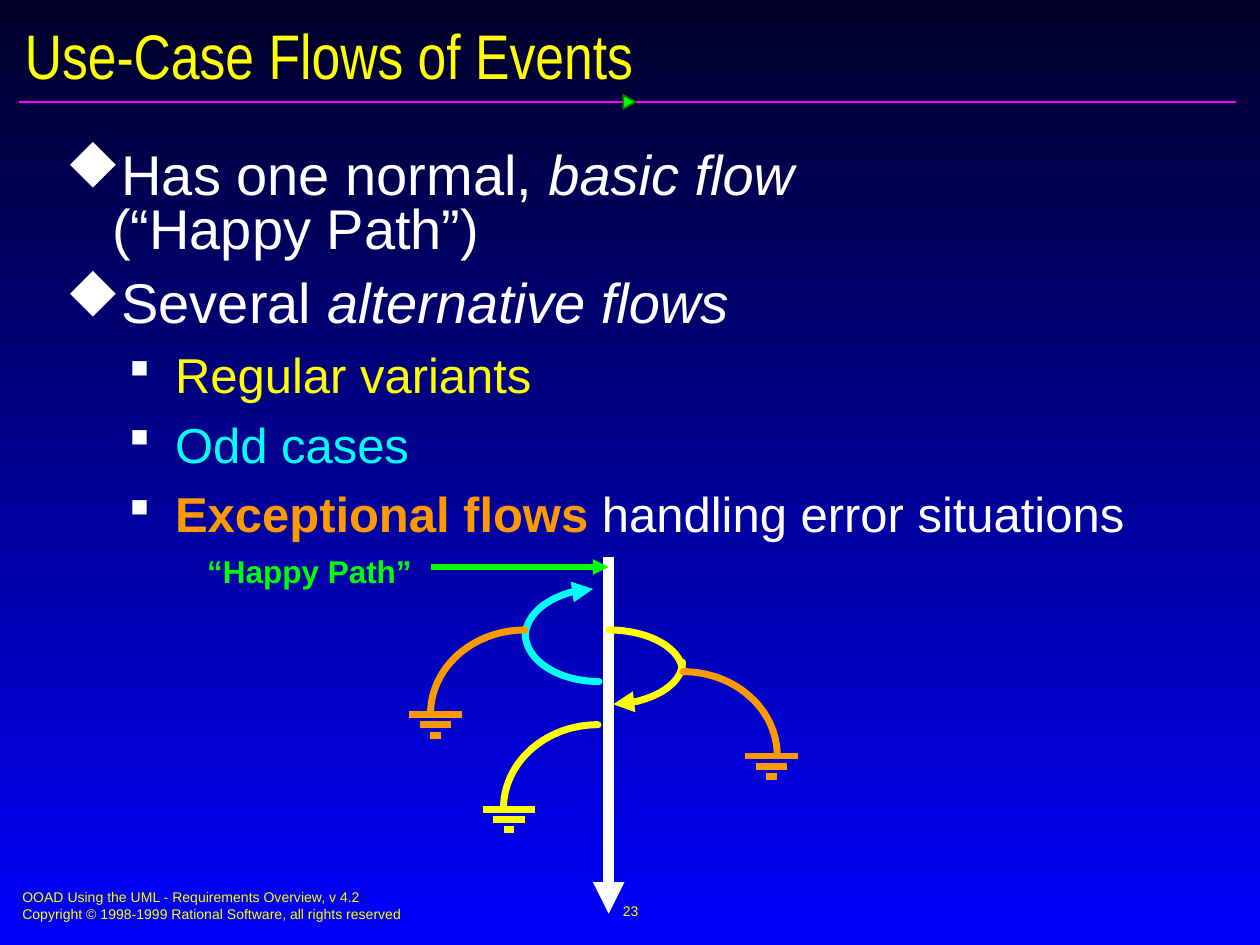
from lxml import etree
from pptx import Presentation
from pptx.dml.color import RGBColor
from pptx.enum.shapes import MSO_CONNECTOR, MSO_SHAPE
from pptx.enum.text import MSO_ANCHOR, MSO_AUTO_SIZE, PP_ALIGN
from pptx.oxml.ns import qn
from pptx.util import Cm, Pt

STRAIGHT = MSO_CONNECTOR.STRAIGHT
ARC, TRIANGLE = MSO_SHAPE.ARC, MSO_SHAPE.ISOSCELES_TRIANGLE
LEFT, CENTER = PP_ALIGN.LEFT, PP_ALIGN.CENTER
TOP, MIDDLE = MSO_ANCHOR.TOP, MSO_ANCHOR.MIDDLE
NO_FIT = MSO_AUTO_SIZE.NONE
COLORS = {
    "night": "000028", "blue": "0000FF", "white": "FFFFFF", "yellow": "FFFF00",
    "cyan": "00FFFF", "orange": "FF9900", "green": "00FF00",
    "dark_green": "037C03", "magenta": "FF01FF",
}
ARC_DEGREE = 0.6


def rgb(name):
    return RGBColor.from_string(COLORS[name])


def add_text(para, text, size=32, color="white", font="Arial", bold=False, italic=False):
    span = para.add_run()
    span.text = text
    span.font.name, span.font.size = font, Pt(size)
    span.font.bold, span.font.italic = bold, italic
    span.font.color.rgb = rgb(color)


def set_frame(shape, box, anchor=TOP, wrap=True, inset=(0.25, 0.13)):
    shape.left, shape.top, shape.width, shape.height = map(Cm, box)
    frame = shape.text_frame
    frame.auto_size, frame.word_wrap, frame.vertical_anchor = NO_FIT, wrap, anchor
    frame.margin_left = frame.margin_right = Cm(inset[0])
    frame.margin_top = frame.margin_bottom = Cm(inset[1])
    return frame


def add_frame(page, box, **options):
    return set_frame(page.shapes.add_textbox(*map(Cm, box)), box, **options)


def style_line(shape, color, width, arrow=False, rounded=False):
    shape.line.color.rgb = rgb(color)
    shape.line.width = Pt(width)
    stroke = shape.line._get_or_add_ln()
    if rounded:
        stroke.set("cap", "rnd")
    if arrow:
        etree.SubElement(stroke, qn("a:tailEnd"), type="triangle")


def add_line(page, start, end, color, width, arrow=False):
    line = page.shapes.add_connector(STRAIGHT, *map(Cm, (*start, *end)))
    style_line(line, color, width, arrow)
    etree.SubElement(line._element.spPr, qn("a:effectLst"))


def add_arc(page, box, angles, color, arrow=False):
    arc = page.shapes.add_shape(ARC, *map(Cm, box))
    arc.shadow.inherit = False
    arc.fill.background()
    for index, angle in enumerate(angles):
        arc.adjustments[index] = angle * ARC_DEGREE
    style_line(arc, color, 4, arrow, rounded=True)


def add_bullet(para, char, margin):
    props = para._p.get_or_add_pPr()
    props.set("marL", str(Cm(margin)))
    props.set("indent", str(Cm(-0.94)))
    tint = etree.SubElement(props, qn("a:buClr"))
    etree.SubElement(tint, qn("a:srgbClr"), val=COLORS["white"])
    etree.SubElement(props, qn("a:buFont"), typeface="Wingdings", charset="2")
    etree.SubElement(props, qn("a:buChar"), char=char)


def paint_background(page):
    fill = page.background.fill
    fill.gradient()
    fill.gradient_angle = 270
    for stop, name in zip(fill.gradient_stops, ("night", "blue")):
        stop.color.rgb = rgb(name)


def build_header(page, box):
    left, top, width, height = box
    frame = set_frame(page.shapes.title, (left, top, width, 1.47), anchor=MIDDLE)
    para = frame.paragraphs[0]
    para.alignment = LEFT
    add_text(para, "Use-Case Flows of Events", 36, "yellow", "Arial Narrow")
    rule = top + height
    add_line(page, (left + 0.13, rule), (left + 24.67, rule), "magenta", 1)
    marker = page.shapes.add_shape(
        TRIANGLE, *map(Cm, (left + 12.3, rule - 0.13, 0.28, 0.25)))
    marker.rotation = 90
    marker.shadow.inherit = False
    marker.fill.solid()
    marker.fill.fore_color.rgb = rgb("green")
    style_line(marker, "dark_green", 1)


def build_footer(page, box):
    left, top, width, height = box
    frame = add_frame(page, box)
    lines = ("OOAD Using the UML - Requirements Overview, v 4.2",
             "Copyright © 1998-1999 Rational Software, all rights reserved")
    for index, text in enumerate(lines):
        para = frame.add_paragraph() if index else frame.paragraphs[0]
        add_text(para, text, 8, "yellow")
    number = add_frame(page, (left + 8.49, top - 0.05, 8.05, 1.27), anchor=MIDDLE)
    number.paragraphs[0].alignment = CENTER
    add_text(number.paragraphs[0], "23", 8, "yellow")


def build_body(page, box):
    frame = add_frame(page, box, inset=(0.3, 0.15))
    levels = (
        {"char": "u", "margin": 0.94, "size": 32, "spacing": 0.8, "before": 12},
        {"char": "§", "margin": 2.21, "size": 28, "spacing": 0.87, "before": 10.5},
    )
    items = (
        (0, (("Has one normal, ", {}), ("basic flow", {"italic": True}),
             None, ("(“Happy Path”)", {}))),
        (0, (("Several ", {}), ("alternative flows", {"italic": True}))),
        (1, (("Regular variants", {"color": "yellow"}),)),
        (1, (("Odd cases", {"color": "cyan"}),)),
        (1, (("Exceptional flows ", {"color": "orange", "bold": True}),
             ("handling error situations", {}))),
    )
    for index, (depth, spans) in enumerate(items):
        level = levels[depth]
        para = frame.add_paragraph() if index else frame.paragraphs[0]
        para.level = depth
        add_bullet(para, level["char"], level["margin"])
        para.line_spacing = level["spacing"]
        para.space_before = Pt(level["before"] if index else 0)
        for part in spans:
            if part is None:
                para.add_line_break()
            else:
                add_text(para, part[0], level["size"], **part[1])


def build_ground(page, x, y, color):
    for row, half in enumerate((0.53, 0.32, 0.11)):
        level = y + row * 0.21
        add_line(page, (x - half, level), (x + half, level), color, 4)


def build_flows(page, box):
    left, top, width, height = box
    stem = left + 4.02
    add_line(page, (stem, top), (stem, top + height), "white", 6, arrow=True)
    arcs = (
        ((2.54, 1.47, 2.97, 1.7), (270, 0), "yellow", False),
        ((2.54, 1.27, 2.97, 1.7), (0, 84), "yellow", True),
        ((2.34, 0.58, 2.97, 1.93), (90, 180), "cyan", False),
        ((2.34, 0.64, 2.97, 1.93), (180, 263), "cyan", True),
        ((3.61, 2.31, 3.81, 3.38), (270, 0), "orange", False),
        ((1.9, 3.38, 3.81, 3.38), (180, 270), "yellow", False),
        ((0.43, 1.47, 3.81, 3.38), (180, 270), "orange", False),
    )
    for (x, y, wide, high), angles, color, arrow in arcs:
        add_arc(page, (left + x, top + y, wide, high), angles, color, arrow)
    for x, y, color in ((7.3, 4.01, "orange"), (2.01, 5.08, "yellow"), (0.53, 3.17, "orange")):
        build_ground(page, left + x, top + y, color)
    label = add_frame(page, (left - 5.92, top - 0.23, 7.82, 1.02))
    label.paragraphs[0].alignment = CENTER
    add_text(label.paragraphs[0], "“Happy Path”", 18, "green", bold=True)
    add_line(page, (left + 0.43, top + 0.2), (stem, top + 0.2), "green", 3, arrow=True)


def main():
    deck = Presentation()
    deck.slide_width, deck.slide_height = Cm(25.4), Cm(19.05)
    page = deck.slides.add_slide(deck.slide_layouts[5])
    paint_background(page)
    build_header(page, (0.25, 0.36, 24.99, 1.7))
    build_footer(page, (0.2, 17.78, 12.95, 0.94))
    build_body(page, (1.02, 2.92, 23.6, 14.02))
    build_flows(page, (8.25, 11.23, 7.83, 7.19))
    deck.save("out.pptx")


if __name__ == "__main__":
    main()
